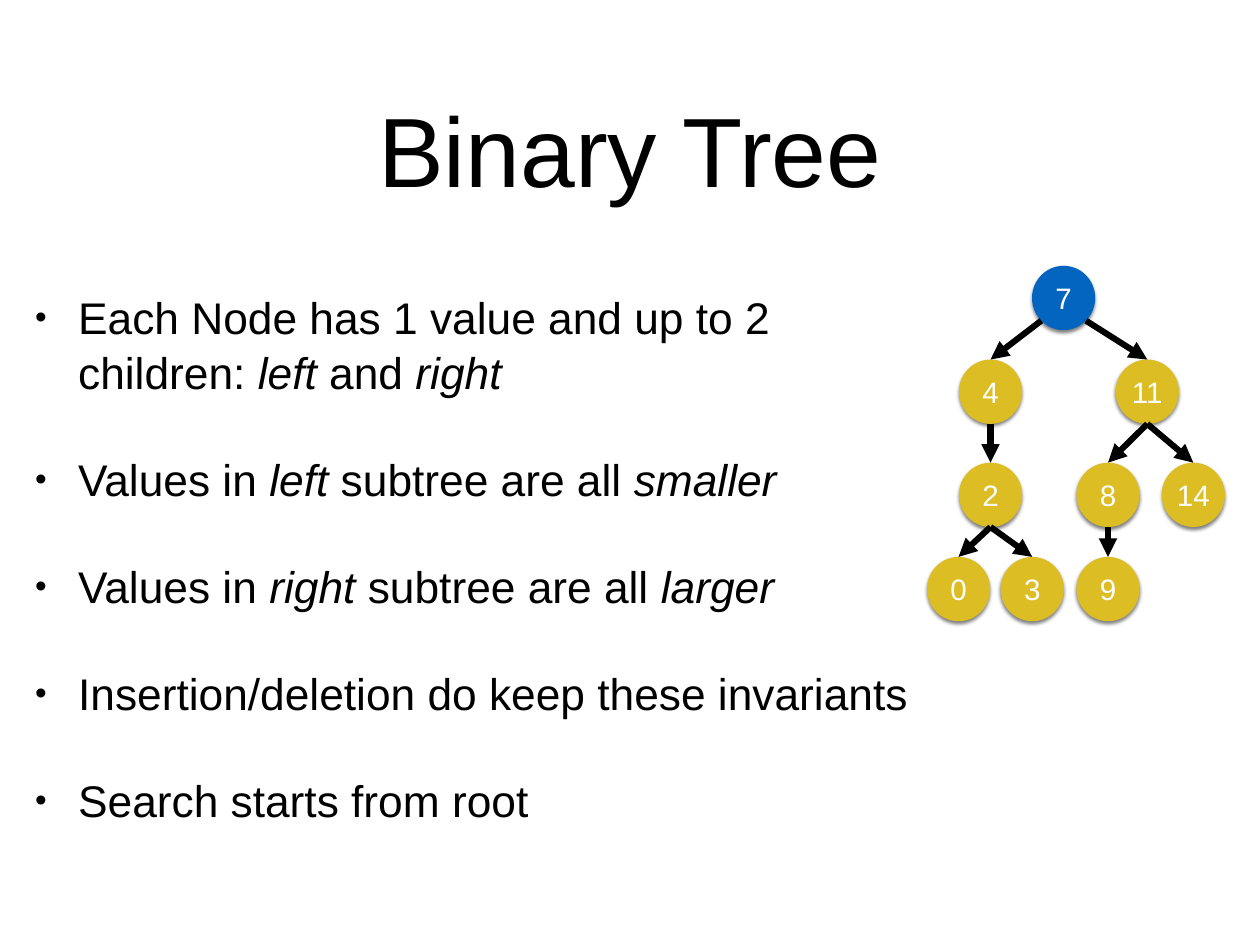
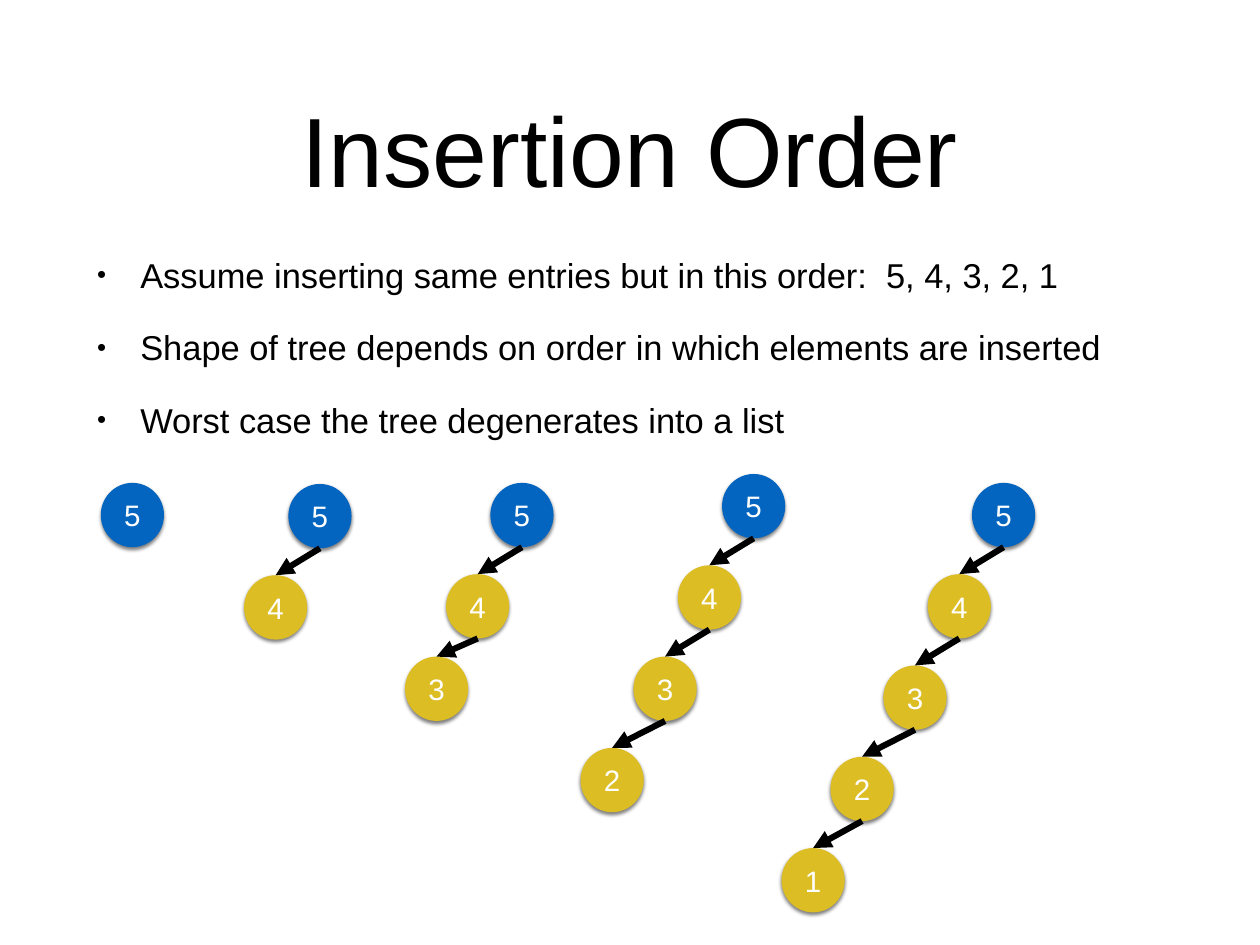
from lxml.etree import SubElement
from pptx import Presentation
from pptx.dml.color import RGBColor
from pptx.enum.shapes import MSO_CONNECTOR, MSO_SHAPE
from pptx.enum.text import MSO_ANCHOR, PP_ALIGN
from pptx.oxml.ns import qn
from pptx.util import Pt

BLACK = RGBColor(0x00, 0x00, 0x00)
WHITE = RGBColor(0xFF, 0xFF, 0xFF)
ROOT_BLUE = RGBColor(0x03, 0x65, 0xC0)
CHILD_GOLD = RGBColor(0xDC, 0xBD, 0x23)
FONT = "Arial"
TITLE_BOX = (75, 35, 874, 170)
INSET = 4
BULLET_INDENT = 35
LINE_SPACING = 1.04
NODE_WIDTH, NODE_HEIGHT = 51.4, 52.3
DIAGONAL = 0.5 ** 0.5 / 2
# Connection sites of an ellipse: index and offset from its centre, in diameters
LOWER_LEFT = (3, -DIAGONAL, DIAGONAL)
BOTTOM = (4, 0, 0.5)
LOWER_RIGHT = (5, DIAGONAL, DIAGONAL)

# Binary tree: key -> (centre x, top)
levels = [216, 292.2, 376, 452.6]
tree_nodes = {
    "7": (864.4, levels[0]),
    "4": (805, levels[1]), "11": (932.4, levels[1]),
    "2": (805, levels[2]), "8": (900.5, levels[2]), "14": (969.8, levels[2]),
    "0": (779, levels[3]), "3": (838.9, levels[3]), "9": (900.5, levels[3]),
}
tree_edges = [
    ("7", "4", LOWER_LEFT), ("7", "11", LOWER_RIGHT), ("4", "2", BOTTOM),
    ("11", "8", BOTTOM), ("11", "14", BOTTOM), ("2", "0", BOTTOM),
    ("2", "3", BOTTOM), ("8", "9", BOTTOM),
]

# Degenerate trees: root position, then the step from each node to its child
chain_steps = [(-36, 74.2), (-36, 74.2), (-43, 74.2), (-39.8, 74.2)]
chains = [
    ((107.6, 392.4), []),
    ((260, 393.3), chain_steps[:1]),
    ((424.2, 392.4), [chain_steps[0], (-33.4, 67)]),
    ((612.5, 385.2), chain_steps[:3]),
    ((815.6, 392.4), chain_steps),
]
chain_nodes, chain_edges = {}, []
for chain, ((x, y), steps) in enumerate(chains):
    chain_nodes[chain, "5"] = (x, y)
    for value, (dx, dy) in zip((4, 3, 2, 1), steps):
        x, y = x + dx, y + dy
        chain_nodes[chain, str(value)] = (x, y)
        chain_edges.append(((chain, str(value + 1)), (chain, str(value)), BOTTOM))

# Words between asterisks are italic
pages = [
    ("Binary Tree", (24.5, 205, 718, 495.5), 36, 42, [
        "Each Node has 1 value and up to 2 children: *left* and *right*",
        "Values in *left* subtree are all *smaller*",
        "Values in *right* subtree are all *larger*",
        "Insertion/deletion do keep these invariants",
        "Search starts from root",
    ], tree_nodes, tree_edges),
    ("Insertion Order", (75, 205, 874, 153), 28, 24, [
        "Assume inserting same entries but in this order:  5, 4, 3, 2, 1",
        "Shape of tree depends on order in which elements are inserted",
        "Worst case the tree degenerates into a list",
    ], chain_nodes, chain_edges),
]


def prepare_frame(shape, wrap):
    frame = shape.text_frame
    frame.word_wrap = wrap
    frame.vertical_anchor = MSO_ANCHOR.MIDDLE
    frame.margin_left = frame.margin_right = Pt(INSET)
    frame.margin_top = frame.margin_bottom = Pt(INSET)
    return frame


def add_run(paragraph, text, size, color, italic=False):
    run = paragraph.add_run()
    run.text = text
    run.font.name = FONT
    run.font.size = Pt(size)
    run.font.color.rgb = color
    run.font.italic = italic


prs = Presentation()
prs.slide_width, prs.slide_height = Pt(1024), Pt(768)

for title, body_box, body_size, space_before, bullets, nodes, edges in pages:
    shapes = prs.slides.add_slide(prs.slide_layouts[6]).shapes

    heading = prepare_frame(shapes.add_textbox(*map(Pt, TITLE_BOX)), True).paragraphs[0]
    heading.alignment = PP_ALIGN.CENTER
    add_run(heading, title, 80, BLACK)

    body = prepare_frame(shapes.add_textbox(*map(Pt, body_box)), True)
    for number, bullet in enumerate(bullets):
        paragraph = body.add_paragraph() if number else body.paragraphs[0]
        paragraph.space_before = Pt(space_before)
        paragraph.line_spacing = LINE_SPACING
        properties = paragraph._p.get_or_add_pPr()
        properties.set("marL", str(Pt(BULLET_INDENT)))
        properties.set("indent", str(-Pt(BULLET_INDENT)))
        SubElement(properties, qn("a:buSzPct"), val="75000")
        SubElement(properties, qn("a:buFont"), typeface=FONT)
        SubElement(properties, qn("a:buChar"), char="•")
        for part, text in enumerate(bullet.split("*")):
            if text:
                add_run(paragraph, text, body_size, BLACK, italic=part % 2 == 1)

    circles = {}
    children = {child for _, child, _ in edges}
    for key, (x, y) in nodes.items():
        circle = shapes.add_shape(MSO_SHAPE.OVAL, Pt(x - NODE_WIDTH / 2), Pt(y),
                                  Pt(NODE_WIDTH), Pt(NODE_HEIGHT))
        circle.fill.solid()
        circle.fill.fore_color.rgb = CHILD_GOLD if key in children else ROOT_BLUE
        circle.line.fill.background()
        circle.shadow.inherit = False
        effects = circle._element.spPr.find(qn("a:effectLst"))
        shadow = SubElement(effects, qn("a:outerShdw"), blurRad=str(Pt(3)),
                            dist=str(Pt(2)), dir="5400000", rotWithShape="0")
        shade = SubElement(shadow, qn("a:srgbClr"), val=str(BLACK))
        SubElement(shade, qn("a:alpha"), val="50000")
        label = prepare_frame(circle, False).paragraphs[0]
        label.alignment = PP_ALIGN.CENTER
        add_run(label, key[-1] if isinstance(key, tuple) else key, 24, WHITE)
        circles[key] = circle

    for parent, child, (site, dx, dy) in edges:
        x, y = nodes[parent]
        child_x, child_y = nodes[child]
        arrow = shapes.add_connector(
            MSO_CONNECTOR.STRAIGHT, Pt(x + dx * NODE_WIDTH),
            Pt(y + (0.5 + dy) * NODE_HEIGHT), Pt(child_x), Pt(child_y))
        joints = arrow._element.nvCxnSpPr.cNvCxnSpPr
        SubElement(joints, qn("a:stCxn"), id=str(circles[parent].shape_id), idx=str(site))
        arrow.end_connect(circles[child], 0)
        arrow.line.color.rgb = BLACK
        arrow.line.width = Pt(5)
        SubElement(arrow.line._get_or_add_ln(), qn("a:tailEnd"), type="triangle")
        SubElement(arrow._element.spPr, qn("a:effectLst"))

prs.save("out.pptx")
